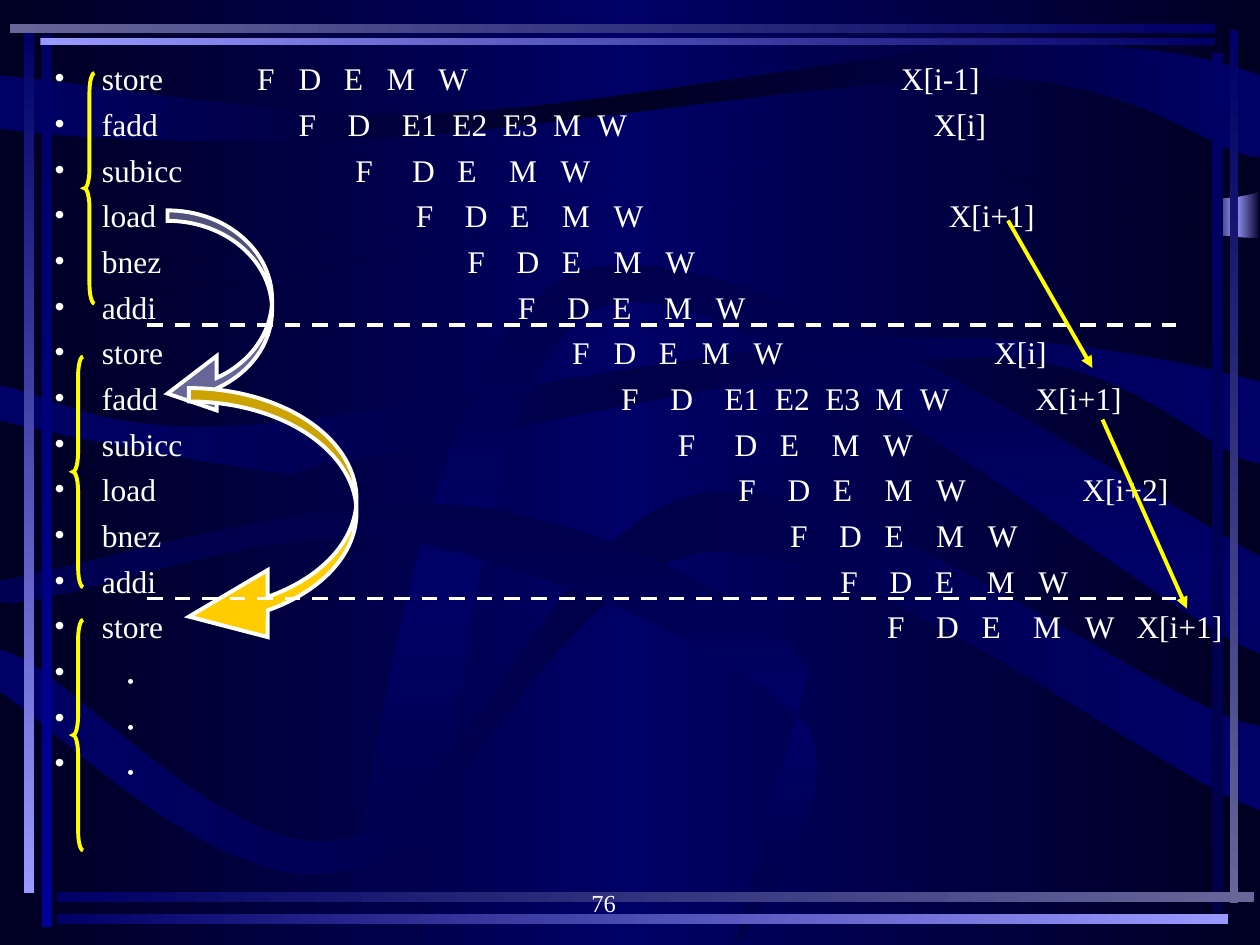
from lxml import etree
from pptx import Presentation, util as u
from pptx.dml.color import RGBColor
from pptx.enum import dml, shapes, text
from pptx.oxml.ns import qn

PX = 9144  # 100 px to the inch
COLORS = {"night": "000022", "dusk": "000048", "navy": "000066", "blue": "000099",
          "lilac": "9999FF", "slate": "666699", "white": "FFFFFF",
          "yellow": "FFFF00", "gold": "FFCC00"}
FONT = "Times New Roman"
ACROSS, DOWN = 0, 90


def shade(fill, element, names, angle):
    """Fill with evenly spaced gradient stops; element is the XML that holds the fill."""
    fill.gradient()
    gradient = element.find(".//" + qn("a:gradFill"))
    for child in list(gradient):
        gradient.remove(child)
    stops = etree.SubElement(gradient, qn("a:gsLst"))
    for index, name in enumerate(names):
        stop = etree.SubElement(stops, qn("a:gs"), pos=str(100000 * index // (len(names) - 1)))
        etree.SubElement(stop, qn("a:srgbClr"), val=COLORS[name])
    etree.SubElement(gradient, qn("a:lin"), ang=str(angle * 60000), scaled="0")


def add_text(para, words, size):
    span = para.add_run()
    span.text = words
    span.font.name = FONT
    span.font.size = u.Pt(size)
    span.font.color.rgb = RGBColor.from_string(COLORS["white"])


deck = Presentation()
deck.slide_width, deck.slide_height = 1000 * PX, 750 * PX
page = deck.slides.add_slide(deck.slide_layouts[6])
shade(page.background.fill, page._element, ["night", "navy", "night"], ACROSS)

# Backdrop: a glow at the right edge, then ribbons of lines (x, y) and curves (three points)
glow = page.shapes.add_shape(shapes.MSO_SHAPE.RECTANGLE, 961 * PX, 49 * PX, 39 * PX, 345 * PX)
shade(glow.fill, glow._element, ["night", "lilac", "night"], ACROSS)
glow.line.fill.background()
glow.shadow.inherit = False

ribbons = [
    (["night", "navy", "night"], ACROSS,
     [(0, 0), (1000, 0), (1000, 152), (938, 174, 792, 122, 625, 132),
      (458, 142, 104, 233, 0, 211)]),
    (["night", "navy", "night"], ACROSS,
     [(0, 228), (178, 245, 340, 194, 458, 174), (458, 174, 567, 158, 586, 155),
      (715, 127, 917, 189, 1000, 189), (1000, 750), (0, 750)]),
    (["navy", "night", "navy"], ACROSS,
     [(0, 60), (0, 102), (51, 110, 176, 115, 308, 109), (440, 102, 679, 60, 794, 62),
      (909, 65, 966, 125, 1000, 125), (1000, 60), (965, 46, 901, 32, 792, 37),
      (682, 42, 477, 86, 345, 90), (213, 94, 72, 66, 0, 60)]),
    (["navy", "dusk", "navy"], ACROSS,
     [(0, 306), (0, 334), (37, 343, 175, 370, 222, 375), (269, 380, 190, 379, 282, 364),
      (375, 348, 660, 282, 780, 283), (900, 283, 963, 365, 1000, 368), (1000, 303),
      (950, 290, 836, 263, 701, 269), (566, 274, 307, 332, 190, 338),
      (73, 344, 40, 313, 0, 306)]),
    (["dusk", "navy", "dusk"], DOWN,
     [(271, 750), (291, 661, 332, 269, 454, 218), (575, 166, 909, 392, 1000, 442),
      (1000, 519), (913, 485, 591, 205, 479, 243), (368, 282, 366, 666, 331, 750)]),
    (["navy", "dusk", "navy"], ACROSS,
     [(0, 516), (0, 549), (45, 578, 174, 711, 269, 692), (363, 674, 443, 446, 565, 438),
      (687, 429, 927, 620, 1000, 643), (1000, 576), (938, 572, 691, 377, 562, 391),
      (441, 406, 367, 646, 273, 667), (179, 687, 45, 520, 0, 516)]),
    (["dusk", "navy", "dusk"], DOWN,
     [(0, 461), (0, 477), (26, 489, 208, 413, 314, 428), (420, 444, 592, 518, 637, 572),
      (682, 625, 582, 757, 583, 750), (642, 532), (606, 474, 473, 413, 366, 401),
      (259, 389, 76, 448, 0, 461)]),
]
for names, angle, outline in ribbons:
    start, *pieces = outline
    points = [point for piece in pieces for point in zip(piece[::2], piece[1::2])]
    builder = page.shapes.build_freeform(*start, scale=PX)
    builder.add_line_segments(points, close=True)
    ribbon = builder.convert_to_shape()
    segments = iter(ribbon._element.findall(".//" + qn("a:lnTo")))
    for piece in pieces:
        segment = next(segments)
        if len(piece) == 6:
            curve = etree.Element(qn("a:cubicBezTo"))
            segment.addprevious(curve)
            for part in (segment, next(segments), next(segments)):
                curve.append(part[0])
                part.getparent().remove(part)
    shade(ribbon.fill, ribbon._element, names, angle)
    ribbon.line.fill.background()
    ribbon.shadow.inherit = False

# Frame bars
bars = [
    (33, 28, 8, 708, "navy", "blue"), (19, 25, 8, 684, "navy", "lilac"),
    (976, 24, 7, 693, "navy", "slate"), (962, 42, 9, 683, "navy", "dusk"),
    (45, 708, 950, 8, "navy", "slate"), (45, 725, 930, 8, "navy", "lilac"),
    (32, 30, 932, 6, "lilac", "navy"), (8, 19, 956, 7, "slate", "navy"),
]
for left, top, width, height, first, last in bars:
    bar = page.shapes.add_shape(shapes.MSO_SHAPE.RECTANGLE,
                                left * PX, top * PX, width * PX, height * PX)
    shade(bar.fill, bar._element, [first, last], ACROSS if width > height else DOWN)
    bar.line.fill.background()
    bar.shadow.inherit = False

# Pipeline: instruction, start of its first stage, memory operand and where it stands
STAGES = {"first": ("F D E M W", (0, 33, 69, 103, 144)),
          "fadd": ("F D E1 E2 E3 M W", (0, 39, 82, 122, 162, 202, 237)),
          "subicc": ("F D E M W", (0, 45, 81, 122, 163)),
          "usual": ("F D E M W", (0, 39, 75, 116, 157))}
rows = [
    ("store", "first", 204, "X[i-1]", 715), ("fadd", "fadd", 237, "X[i]", 741),
    ("subicc", "subicc", 282, "", 0), ("load", "usual", 330, "X[i+1]", 753),
    ("bnez", "usual", 371, "", 0), ("addi", "usual", 411, "", 0),
    ("store", "first", 454, "X[i]", 789), ("fadd", "fadd", 493, "X[i+1]", 822),
    ("subicc", "subicc", 538, "", 0), ("load", "usual", 586, "X[i+2]", 859),
    ("bnez", "usual", 627, "", 0), ("addi", "usual", 667, "", 0),
    ("store", "usual", 704, "X[i+1]", 902),
]
TIMES_LEFT = 150
names = [(row[0], 38) for row in rows] + [("．", 55)] * 3
times = []
for _, kind, start, operand, operand_left in rows:
    labels, offsets = STAGES[kind]
    labels, stops = labels.split(), [start + offset for offset in offsets]
    if operand:
        labels, stops = labels + [operand], stops + [operand_left]
    times.append(("".join("\t" + label for label in labels), stops))

for left, width, lines in ((43, 107, names), (TIMES_LEFT, 841, times)):
    box = page.shapes.add_textbox(left * PX, 42 * PX, width * PX, 625 * PX)
    frame = box.text_frame
    frame.word_wrap = True
    frame.margin_left = frame.margin_right = 0
    frame.margin_top = frame.margin_bottom = 5 * PX
    for index, (words, layout) in enumerate(lines):
        para = frame.paragraphs[0] if index == 0 else frame.add_paragraph()
        props = para._p.get_or_add_pPr()
        if lines is names:
            props.set("marL", str(layout * PX))
            props.set("indent", str(-layout * PX))
            etree.SubElement(props, qn("a:buFont"), typeface=FONT)
            etree.SubElement(props, qn("a:buChar"), char="•")
        else:
            tabs = etree.SubElement(props, qn("a:tabLst"))
            for stop in layout:
                etree.SubElement(tabs, qn("a:tab"), pos=str((stop - TIMES_LEFT) * PX), algn="l")
        para.line_spacing = u.Pt(21.6)
        para.space_before = u.Pt(4.5 if index else 0)
        add_text(para, words, 18)

# Iteration braces and data-flow arrows
BRACE, CURVE = shapes.MSO_SHAPE.LEFT_BRACE, shapes.MSO_SHAPE.CURVED_LEFT_ARROW
marks = [
    (BRACE, 67, 58, 8, 183, (1.9, 0.5), None, "yellow"),
    (BRACE, 58, 283, 8, 183, (1.9, 0.5), None, "yellow"),
    (CURVE, 133, 167, 83, 167, (0.1, 0.52, 0.47), "slate", "white"),
    (CURVE, 150, 308, 133, 208, (0.08, 0.4, 0.47), "gold", "white"),
    (BRACE, 58, 492, 8, 183, (1.9, 0.5), None, "yellow"),
]
for preset, left, top, width, height, adjustments, fill, line in marks:
    mark = page.shapes.add_shape(preset, left * PX, top * PX, width * PX, height * PX)
    for index, value in enumerate(adjustments):
        mark.adjustments[index] = value
    if fill:
        mark.fill.solid()
        mark.fill.fore_color.rgb = RGBColor.from_string(COLORS[fill])
    else:
        mark.fill.background()
    mark.line.color.rgb = RGBColor.from_string(COLORS[line])
    mark.line.width = u.Pt(2.25)
    etree.SubElement(mark._element.spPr.find(qn("a:ln")), qn("a:miter"), lim="800000")
    mark.shadow.inherit = False

# Dashed iteration borders and operand arrows
for x1, y1, x2, y2, color in ((117, 258, 933, 258, "white"), (117, 475, 933, 475, "white"),
                              (800, 175, 867, 292, "yellow"), (875, 333, 942, 483, "yellow")):
    link = page.shapes.add_connector(shapes.MSO_CONNECTOR.STRAIGHT,
                                     x1 * PX, y1 * PX, x2 * PX, y2 * PX)
    link.line.color.rgb = RGBColor.from_string(COLORS[color])
    link.line.width = u.Pt(2.25)
    if color == "white":
        link.line.dash_style = dml.MSO_LINE.DASH
    else:
        etree.SubElement(link._element.spPr.find(qn("a:ln")), qn("a:tailEnd"), type="triangle")
    etree.SubElement(link._element.spPr, qn("a:effectLst"))

number = page.shapes.add_textbox(375 * PX, 683 * PX, 208 * PX, 50 * PX)
number.text_frame.word_wrap = True
number.text_frame.vertical_anchor = text.MSO_ANCHOR.BOTTOM
para = number.text_frame.paragraphs[0]
para.alignment = text.PP_ALIGN.CENTER
add_text(para, "76", 14)

deck.save("out.pptx")
